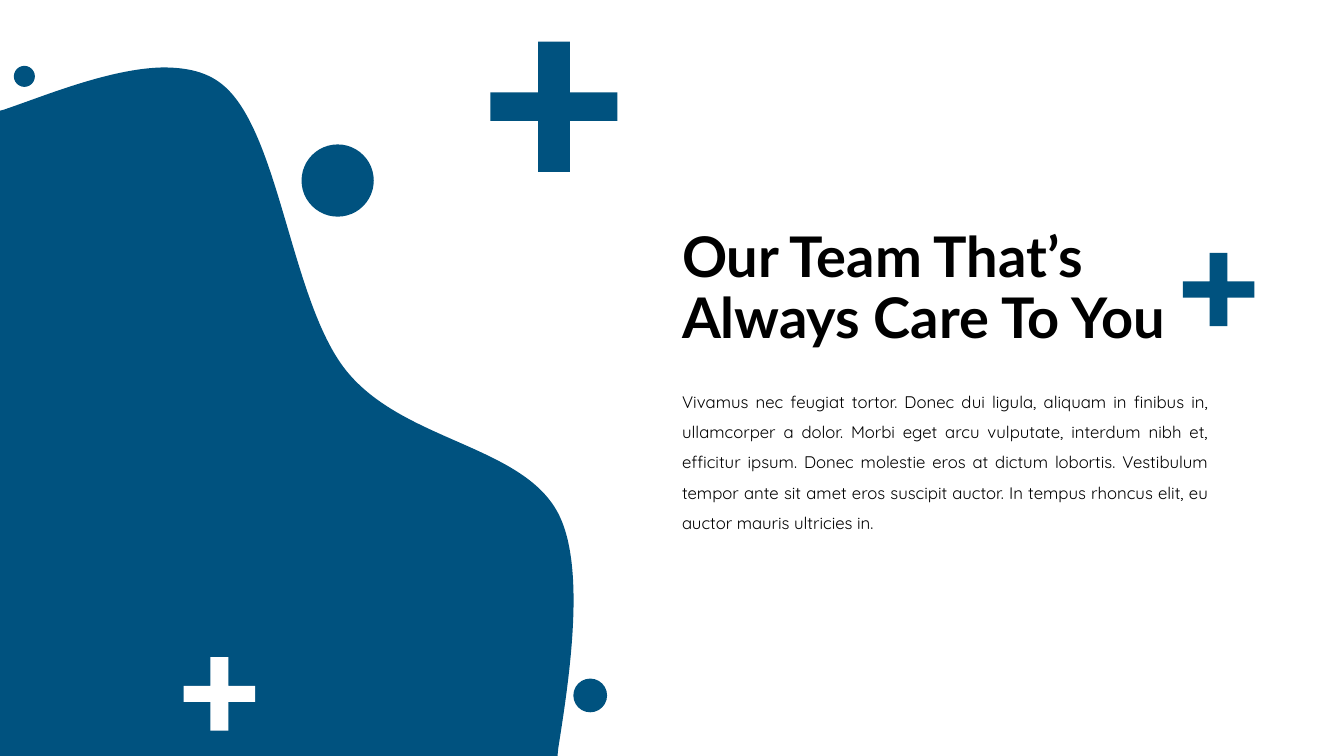
"""Build the team introduction slide with its wavy panel, crosses and dots."""
from dataclasses import dataclass

from lxml.etree import SubElement
from pptx import Presentation
from pptx.dml.color import RGBColor
from pptx.enum.shapes import MSO_SHAPE
from pptx.enum.text import MSO_ANCHOR, MSO_AUTO_SIZE, PP_ALIGN
from pptx.oxml.ns import qn
from pptx.util import Cm, Pt


@dataclass(frozen=True)
class Theme:
    blue: str = "00527F"
    white: str = "FFFFFF"
    black: str = "000000"
    heading_font: str = "Lato"
    body_font: str = "Quicksand"
    heading_size: int = 40
    body_size: int = 12


THEME = Theme()
SLIDE_SIZE = (33.87, 19.05)
TITLE = "Our Team That’s Always Care To You"
BODY = (
    "Vivamus nec feugiat tortor. Donec dui ligula, aliquam in finibus in, "
    "ullamcorper a dolor. Morbi eget arcu vulputate, interdum nibh et, "
    "efficitur ipsum. Donec molestie eros at dictum lobortis. Vestibulum "
    "tempor ante sit amet eros suscipit auctor. In tempus rhoncus elit, eu "
    "auctor mauris ultricies in."
)
TITLE_BOX = (16.94, 5.46, 14.6, 3.68)
BODY_BOX = (16.94, 9.49, 13.77, 4.11)

PANEL_BOX = (0, 1.7, 14.45, 17.35)
PANEL_STEPS = [
    ("moveTo", [(4.1, 1.7)]),
    ("cubicBezTo", [(2.74, 1.73), (1.07, 2.44), (0.08, 2.77)]),
    ("lnTo", [(0, 2.79)]),
    ("lnTo", [(0, 19.05)]),
    ("lnTo", [(14.05, 19.05)]),
    ("lnTo", [(14.07, 18.85)]),
    ("cubicBezTo", [(14.35, 17.09), (14.76, 14.38), (14.1, 13)]),
    ("cubicBezTo", [(13.23, 11.2), (10.16, 11.15), (8.71, 9.32)]),
    ("cubicBezTo", [(7.29, 7.52), (7.04, 3.12), (5.51, 2.06)]),
    ("cubicBezTo", [(5.13, 1.79), (4.65, 1.7), (4.1, 1.7)]),
    ("close", []),
]

DOTS = [(7.6, 3.64, 1.82), (14.45, 17.1, 0.85), (0.35, 1.66, 0.53)]
TITLE_CROSS = (29.81, 6.37, 1.8, 1.85, THEME.blue)
PANEL_CROSS = (4.63, 16.56, 1.8, 1.85, THEME.white)
TOP_CROSS = (12.36, 1.05, 3.2, 3.28, THEME.blue)
UPRIGHT_SHARE = 0.25
CROSSBAR_SHARE = 0.22


def paint(shape, color):
    shape.shadow.inherit = False
    shape.fill.solid()
    shape.fill.fore_color.rgb = RGBColor.from_string(color)
    shape.line.fill.background()


def add_outline(slide, points, color):
    corners = [(Cm(x), Cm(y)) for x, y in points]
    builder = slide.shapes.build_freeform(*corners[0], scale=1.0)
    builder.add_line_segments(corners[1:], close=True)
    shape = builder.convert_to_shape()
    paint(shape, color)
    return shape


def add_panel(slide):
    left, top, width, height = PANEL_BOX
    right, bottom = left + width, top + height
    corners = [(left, top), (right, top), (right, bottom), (left, bottom)]
    panel = add_outline(slide, corners, THEME.blue)
    outline = panel._element.find(".//" + qn("a:path"))
    for child in list(outline):
        outline.remove(child)
    for command, points in PANEL_STEPS:
        step = SubElement(outline, qn("a:" + command))
        for x, y in points:
            point = SubElement(step, qn("a:pt"))
            point.set("x", str(Cm(x - left)))
            point.set("y", str(Cm(y - top)))


def add_cross(slide, left, top, width, height, color):
    right, bottom = left + width, top + height
    x1 = left + width * (1 - UPRIGHT_SHARE) / 2
    y1 = top + height * (1 - CROSSBAR_SHARE) / 2
    x2, y2 = left + right - x1, top + bottom - y1
    points = [
        (x1, top), (x2, top), (x2, y1), (right, y1), (right, y2), (x2, y2),
        (x2, bottom), (x1, bottom), (x1, y2), (left, y2), (left, y1), (x1, y1),
    ]
    add_outline(slide, points, color)


def add_text(slide, text, box, *, font, size, spacing, bold=False, align=PP_ALIGN.LEFT,
             anchor=MSO_ANCHOR.TOP, fit=MSO_AUTO_SIZE.NONE):
    frame = slide.shapes.add_textbox(*map(Cm, box)).text_frame
    frame.word_wrap = True
    frame.auto_size = fit
    frame.vertical_anchor = anchor
    paragraph = frame.paragraphs[0]
    paragraph.alignment = align
    paragraph.line_spacing = spacing
    run = paragraph.add_run()
    run.text = text
    run.font.name = font
    run.font.size = Pt(size)
    run.font.bold = bold
    run.font.color.rgb = RGBColor.from_string(THEME.black)


def main():
    presentation = Presentation()
    presentation.slide_width, presentation.slide_height = map(Cm, SLIDE_SIZE)
    slide = presentation.slides.add_slide(presentation.slide_layouts[6])
    slide.background.fill.solid()
    slide.background.fill.fore_color.rgb = RGBColor.from_string(THEME.white)

    add_panel(slide)
    add_cross(slide, *TITLE_CROSS)
    add_text(slide, BODY, BODY_BOX, font=THEME.body_font, size=THEME.body_size,
             spacing=1.5, align=PP_ALIGN.JUSTIFY, fit=MSO_AUTO_SIZE.SHAPE_TO_FIT_TEXT)
    for left, top, diameter in DOTS:
        place = map(Cm, (left, top, diameter, diameter))
        paint(slide.shapes.add_shape(MSO_SHAPE.OVAL, *place), THEME.blue)
    for cross in (PANEL_CROSS, TOP_CROSS):
        add_cross(slide, *cross)
    add_text(slide, TITLE, TITLE_BOX, font=THEME.heading_font, size=THEME.heading_size,
             spacing=0.9, bold=True, anchor=MSO_ANCHOR.MIDDLE)
    presentation.save("out.pptx")


if __name__ == "__main__":
    main()
